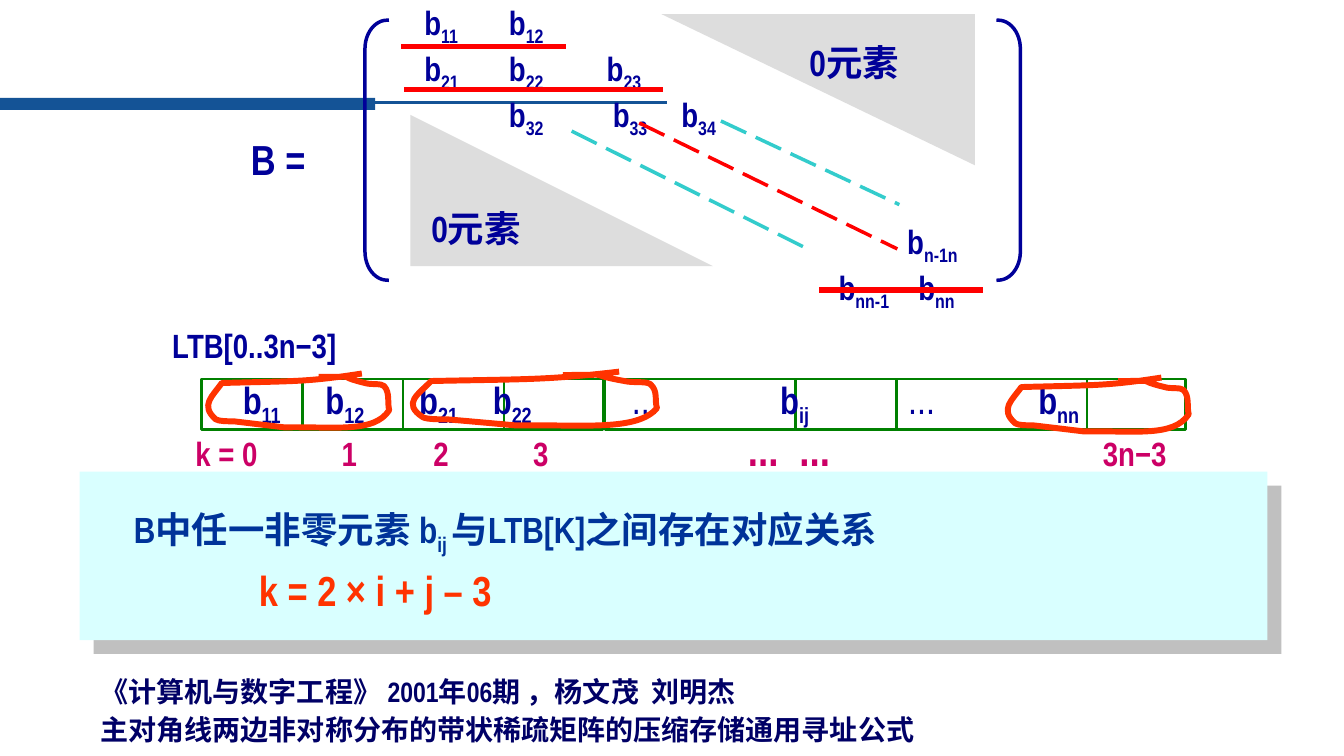
from lxml.etree import SubElement
from pptx import Presentation
from pptx.dml.color import RGBColor
from pptx.enum.dml import MSO_LINE
from pptx.enum.shapes import MSO_CONNECTOR, MSO_SHAPE
from pptx.enum.text import MSO_ANCHOR, PP_ALIGN
from pptx.oxml.ns import qn
from pptx.util import Pt

PX = 9144  # 100 px to the inch
BAR = RGBColor(0x14, 0x53, 0x96)
WHITE = RGBColor(0xFF, 0xFF, 0xFF)
NAVY = RGBColor(0x00, 0x00, 0x99)
INK = RGBColor(0x00, 0x00, 0x66)
BLUE = RGBColor(0x00, 0x33, 0x99)
GREEN = RGBColor(0x00, 0x80, 0x00)
PINK = RGBColor(0xCC, 0x00, 0x66)
CYAN = RGBColor(0xD9, 0xFF, 0xFF)
TEAL = RGBColor(0x33, 0xCC, 0xCC)
GREY = RGBColor(0xDD, 0xDD, 0xDD)
SHADE = RGBColor(0xC0, 0xC0, 0xC0)
RED = RGBColor(0xFF, 0x00, 0x00)
ORANGE = RGBColor(0xFF, 0x33, 0x00)

# Start point, then cubic segments of the hand-drawn loop
LOOP = [(158, 0),
        (106, 8), (95, 7), (22, 9), (13, 22), (0, 31), (16, 45),
        (19, 47), (28, 47), (34, 47), (51, 49), (84, 53), (84, 53),
        (134, 52), (173, 59), (188, 36), (186, 28), (189, 19), (183, 12),
        (180, 9), (170, 11), (164, 9), (131, 1), (162, 3), (121, 3)]


class Page:
    latin = "Arial Narrow"
    asian = "Noto Sans CJK SC"

    def __init__(self, slide):
        self.shapes = slide.shapes

    def shape(self, kind, box, fill=None, line=None, weight=1):
        item = self.shapes.add_shape(kind, *(v * PX for v in box))
        self.paint(item, fill, line, weight)
        return item

    def paint(self, item, fill, line, weight):
        item.shadow.inherit = False
        if fill is None:
            item.fill.background()
        else:
            item.fill.solid()
            item.fill.fore_color.rgb = fill
        if line is None:
            item.line.fill.background()
        else:
            item.line.color.rgb = line
            item.line.width = Pt(weight)

    def cap(self, item):
        item._element.spPr.find(qn("a:ln")).set("cap", "sq")

    def cast(self, item, color, dist):
        effects = item._element.spPr.find(qn("a:effectLst"))
        outer = SubElement(effects, qn("a:outerShdw"), blurRad="0", dist=str(Pt(dist)),
                           dir="2700000", algn="ctr", rotWithShape="0")
        SubElement(outer, qn("a:srgbClr"), val=str(color))

    def line(self, ends, color, weight, dash=None):
        item = self.shapes.add_connector(MSO_CONNECTOR.STRAIGHT, *(v * PX for v in ends))
        item.line.color.rgb = color
        item.line.width = Pt(weight)
        if dash:
            item.line.dash_style = dash
        SubElement(item._element.spPr, qn("a:effectLst"))
        return item

    def loop(self, left, top, width):
        pts = [(round((left + x * width / 189) * PX), (top + y) * PX) for x, y in LOOP]
        pen = self.shapes.build_freeform(*pts[0], scale=1.0)
        pen.add_line_segments(pts[1:], close=False)
        item = pen.convert_to_shape()
        self.paint(item, None, ORANGE, 4.25)
        self.cap(item)
        # Every three straight steps become one cubic curve
        track = item._element.spPr.find(".//" + qn("a:path"))
        steps = track.findall(qn("a:lnTo"))
        for i in range(0, len(steps), 3):
            curve = SubElement(track, qn("a:cubicBezTo"))
            for step in steps[i:i + 3]:
                curve.append(step[0])
                track.remove(step)

    def text(self, box, *rows, wrap=True):
        frame = self.shapes.add_textbox(*(v * PX for v in box)).text_frame
        frame.word_wrap = wrap
        self.fill(frame, rows)

    def fill(self, frame, rows):
        for i, row in enumerate(rows):
            para = frame.paragraphs[0] if i == 0 else frame.add_paragraph()
            self.para(para, *row)

    def para(self, para, text, size, color, tabs=(), before=0, dots=None):
        """Between bars stand subscripts, or dots in their own size and weight."""
        para.alignment = PP_ALIGN.LEFT
        props = para._p.get_or_add_pPr()
        if before:
            para.space_before = Pt(before)
        if tabs:
            stops = SubElement(props, qn("a:tabLst"))
            for stop in tabs:
                SubElement(stops, qn("a:tab"), pos=str(stop * PX), algn="l")
        font = para.font
        font.size, font.bold, font.name = Pt(size), True, self.latin
        font.color.rgb = color
        SubElement(props.find(qn("a:defRPr")), qn("a:ea"), typeface=self.asian)
        for i, part in enumerate(text.split("|")):
            if not part:
                continue
            run = para.add_run()
            run.text = part
            if i % 2 and "..." in part:
                run.font.size, run.font.bold = Pt(dots[0]), dots[1]
            elif i % 2:
                run.font._element.set("baseline", "-25000")


def main():
    deck = Presentation()
    deck.slide_width, deck.slide_height = 1333 * PX, 750 * PX
    page = Page(deck.slides.add_slide(deck.slide_layouts[6]))

    # Title bar
    page.shape(MSO_SHAPE.RECTANGLE, (0, 97, 372, 12), BAR)
    page.line((368, 102, 662, 102), BAR, 2.25)

    # Citation
    cite = page.shape(MSO_SHAPE.RECTANGLE, (90, 640, 1156, 106), WHITE).text_frame
    cite.word_wrap = True
    cite.vertical_anchor = MSO_ANCHOR.BOTTOM
    cite.margin_bottom = 6 * PX
    page.fill(cite, (("《计算机与数字工程》 2001年06期 ，杨文茂  刘明杰", 20, INK),
                     ("主对角线两边非对称分布的带状稀疏矩阵的压缩存储通用寻址公式", 20, INK)))
    for para in cite.paragraphs:
        para.line_spacing = Pt(27)

    # Storage array
    for left, width in ((200, 100), (300, 100), (400, 100), (500, 98), (600, 189),
                        (789, 100), (889, 189), (1078, 98)):
        page.shape(MSO_SHAPE.RECTANGLE, (left, 376, width, 50), None, GREEN, 1.75)
    page.text((161, 317, 187, 51), ("LTB[0..3n−3]", 24, NAVY), wrap=False)
    page.text((184, 413, 988, 64),
              ("k = 0\t1\t2\t3\t|...\t...|\t3n−3", 24, PINK,
               (145, 236, 335, 548, 599, 900), 0, (32, True)))
    page.text((206, 367, 946, 57),
              ("\tb|11|\tb|12|\tb|21|\tb|22|\t|...|\tb|ij|\t|...|\tb|nn", 27, NAVY,
               (25, 107, 200, 273, 411, 558, 685, 814), 0, (28, False)))

    # Formula panel
    panel = page.shape(MSO_SHAPE.RECTANGLE, (79, 468, 1178, 167), CYAN)
    page.cast(panel, SHADE, 14.1)
    page.text((123, 498, 1100, 114),
              ("B中任一非零元素 b|ij |与LTB[K]之间存在对应关系", 26, BLUE),
              ("\tk = 2 × i + j – 3", 30, ORANGE, (124,), 6))

    # Band matrix
    page.text((206, -3, 933, 293),
              ("\tb|11|\tb|12", 24, NAVY, (205, 289)),
              ("\tb|21|\tb|22|\tb|23", 24, NAVY, (205, 289, 386)),
              ("\tb|32|\tb|33|\tb|34", 24, NAVY, (289, 392, 460)),
              ("\tb|n-1n", 24, NAVY, (684,), 58),
              ("\tb|nn-1|\tb|nn", 24, NAVY, (616, 695)))
    for ends, color in (((634, 122, 890, 247), RED), ((567, 130, 801, 247), TEAL),
                        ((715, 120, 892, 203), TEAL)):
        page.line(ends, color, 2.5, MSO_LINE.LONG_DASH)
    for left, flip in ((362, "1"), (990, "0")):
        side = page.shape(MSO_SHAPE.RIGHT_BRACKET, (left, 20, 22, 258), None, NAVY, 2.5)
        side.adjustments[0] = 1.292
        side._element.spPr.find(qn("a:xfrm")).set("flipH", flip)
        page.cap(side)
    for box, turn, label in (((407, 114, 300, 150), 0, (418, 200, 208, 54)),
                             ((656, 14, 311, 150), 180, (793, 35, 200, 54))):
        page.shape(MSO_SHAPE.RIGHT_TRIANGLE, box, GREY).rotation = turn
        page.text(label, ("0元素", 26, NAVY))
    page.text((239, 128, 75, 61), ("B =", 30, NAVY), wrap=False)

    # Row strokes and matching loops
    for stroke, loop in (((401, 46, 559, 46), (198, 371, 189)),
                         ((403, 89, 655, 89), (398, 369, 255)),
                         ((815, 288, 972, 288), (991, 375, 189))):
        page.cap(page.line(stroke, RED, 4))
        page.loop(*loop)

    deck.save("out.pptx")


if __name__ == "__main__":
    main()
